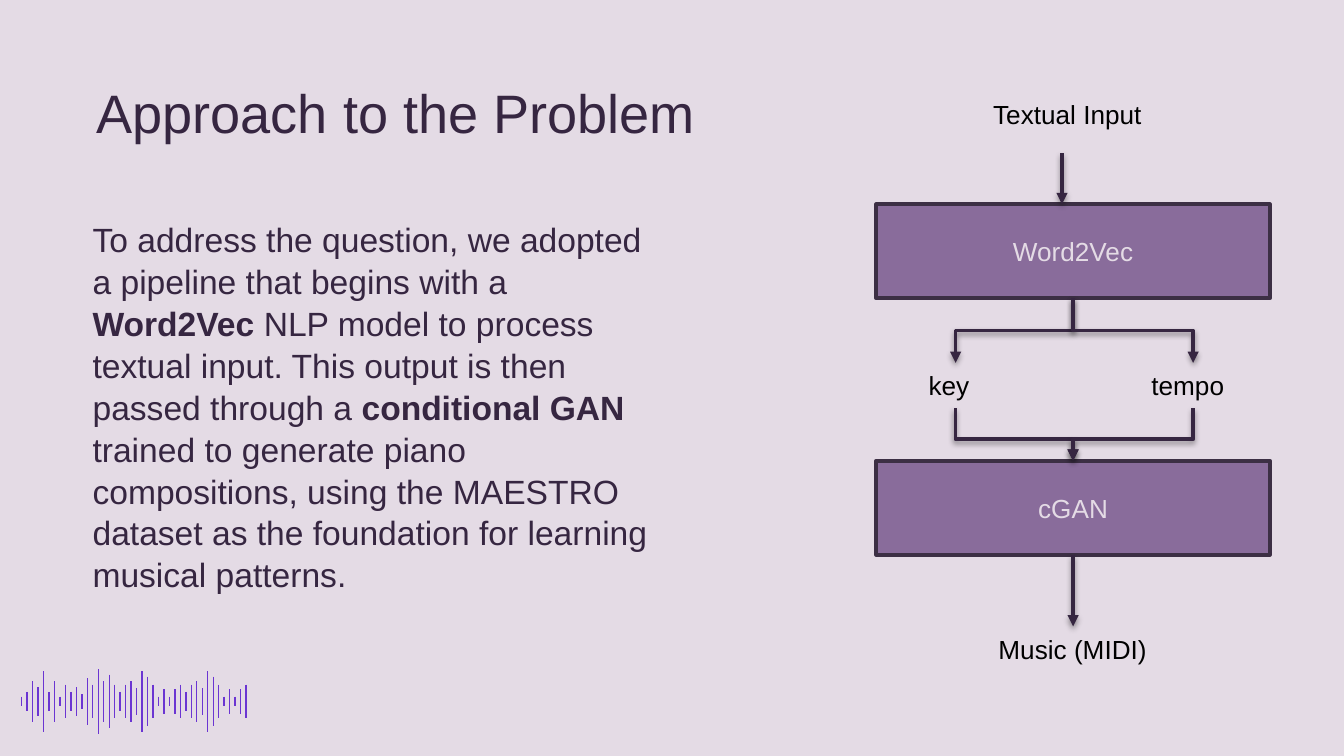
from dataclasses import dataclass

from lxml.etree import SubElement
from pptx import Presentation
from pptx.dml.color import RGBColor
from pptx.enum.shapes import MSO_CONNECTOR, MSO_SHAPE
from pptx.enum.text import MSO_ANCHOR, MSO_AUTO_SIZE, PP_ALIGN
from pptx.oxml.ns import qn
from pptx.util import Cm, Pt

LAVENDER = RGBColor(0xE4, 0xDB, 0xE5)
PLUM = RGBColor(0x36, 0x26, 0x41)
PURPLE = RGBColor(0x89, 0x6C, 0x9B)
DARK_PLUM = RGBColor(0x3C, 0x2F, 0x44)
VIOLET = RGBColor(0x6B, 0x35, 0xD2)
BLACK = RGBColor(0, 0, 0)

AXIS = 20.28
INSET = 0.25
WAVE_START, WAVE_END, WAVE_MIDDLE = 0.41, 4.65, 13.26
WAVE_INTRO = [0.18, 0.36, 0.76, 0.54, 1.14, 0.36, 0.76, 0.18, 0.64,
              0.36, 0.54, 0.28, 0.88, 0.64, 1.22, 0.76, 1.02, 0.64]
WAVE_REPEAT = [0.36, 0.64, 0.76, 0.5, 1.14, 0.94,
               0.64, 0.18, 0.46, 0.18, 0.46, 0.64]


@dataclass(frozen=True)
class Stage:
    name: str
    top: float
    left: float = 16.56
    width: float = 7.44
    height: float = 1.78

    @property
    def bottom(self) -> float:
        return self.top + self.height


@dataclass(frozen=True)
class Label:
    text: str
    left: float
    top: float
    width: float
    height: float


@dataclass(frozen=True)
class Elbow:
    x1: float
    y1: float
    x2: float
    y2: float
    bend: float = 0.5


def write(paragraph, text: str, *, size: float = 14, color: RGBColor = BLACK,
          bold: bool = False, align: PP_ALIGN = PP_ALIGN.LEFT) -> None:
    paragraph.alignment = align
    run = paragraph.add_run()
    run.text = text
    run.font.name = "Arial"
    run.font.size = Pt(size)
    run.font.bold = bold
    run.font.color.rgb = color


def place(shape, left: float, top: float, width: float, height: float) -> None:
    shape.left, shape.top = Cm(left), Cm(top)
    shape.width, shape.height = Cm(width), Cm(height)


def prepare(frame, anchor: MSO_ANCHOR, left_inset: float = INSET) -> None:
    frame.word_wrap = True
    frame.auto_size = MSO_AUTO_SIZE.NONE
    frame.vertical_anchor = anchor
    frame.margin_left = Cm(left_inset)
    frame.margin_right = frame.margin_top = frame.margin_bottom = Cm(INSET)


def draw_wave(slide) -> None:
    heights = WAVE_INTRO + WAVE_REPEAT * 2
    pitch = (WAVE_END - WAVE_START) / (len(heights) - 1)
    wave = slide.shapes.add_group_shape()
    for index, height in enumerate(heights):
        x = Cm(WAVE_START + index * pitch)
        bar = wave.shapes.add_connector(
            MSO_CONNECTOR.STRAIGHT, x, Cm(WAVE_MIDDLE - height / 2),
            x, Cm(WAVE_MIDDLE + height / 2))
        bar.line.color.rgb = VIOLET
        bar.line.width = Pt(0.75)
        SubElement(bar._element.spPr, qn("a:effectLst"))


def draw_stage(slide, stage: Stage):
    box = slide.shapes.add_shape(
        MSO_SHAPE.RECTANGLE, Cm(stage.left), Cm(stage.top),
        Cm(stage.width), Cm(stage.height))
    box.shadow.inherit = False
    box.fill.solid()
    box.fill.fore_color.rgb = PURPLE
    box.line.color.rgb = DARK_PLUM
    box.line.width = Pt(2)
    box.text_frame.vertical_anchor = MSO_ANCHOR.MIDDLE
    write(box.text_frame.paragraphs[0], stage.name,
          color=LAVENDER, align=PP_ALIGN.CENTER)
    return box


def draw_label(slide, label: Label) -> None:
    box = slide.shapes.add_textbox(Cm(label.left), Cm(label.top),
                                   Cm(label.width), Cm(label.height))
    box.text_frame.word_wrap = True
    write(box.text_frame.paragraphs[0], label.text)


def style_arrow(arrow) -> None:
    arrow.line.color.rgb = PLUM
    arrow.line.width = Pt(2)
    properties = arrow._element.spPr
    SubElement(properties.find(qn("a:ln")), qn("a:tailEnd"), type="triangle")
    effects = SubElement(properties, qn("a:effectLst"))
    shadow = SubElement(effects, qn("a:outerShdw"), blurRad="39400",
                        dist="20300", dir="5400000", rotWithShape="0")
    tint = SubElement(shadow, qn("a:srgbClr"), val="000000")
    SubElement(tint, qn("a:alpha"), val="38000")


def draw_arrow(slide, x: float, y1: float, y2: float):
    arrow = slide.shapes.add_connector(
        MSO_CONNECTOR.STRAIGHT, Cm(x), Cm(y1), Cm(x), Cm(y2))
    style_arrow(arrow)
    return arrow


def draw_elbow(slide, elbow: Elbow) -> None:
    run, drop = abs(elbow.x2 - elbow.x1), elbow.y2 - elbow.y1
    left = (elbow.x1 + elbow.x2 - drop) / 2
    top = (elbow.y1 + elbow.y2 - run) / 2
    arrow = slide.shapes.add_connector(
        MSO_CONNECTOR.ELBOW, Cm(left), Cm(top), Cm(left + drop), Cm(top + run))
    frame = arrow._element.spPr.find(qn("a:xfrm"))
    if elbow.x2 > elbow.x1:
        frame.set("rot", "16200000")
        frame.set("flipH", "1")
    else:
        frame.set("rot", "5400000")
    guides = arrow._element.spPr.find(qn("a:prstGeom")).find(qn("a:avLst"))
    SubElement(guides, qn("a:gd"), name="adj1",
               fmla=f"val {round(elbow.bend * 100000)}")
    style_arrow(arrow)


def main() -> None:
    deck = Presentation()
    deck.slide_width, deck.slide_height = Cm(25.4), Cm(14.29)
    slide = deck.slides.add_slide(deck.slide_layouts[0])
    slide.background.fill.solid()
    slide.background.fill.fore_color.rgb = LAVENDER
    draw_wave(slide)

    title, body = slide.placeholders
    place(title, 1.57, 1.14, 23.52, 1.83)
    prepare(title.text_frame, MSO_ANCHOR.BOTTOM)
    write(title.text_frame.paragraphs[0], "Approach to the Problem",
          size=29, color=PLUM)

    place(body, 0.23, 3.86, 12.47, 8.79)
    prepare(body.text_frame, MSO_ANCHOR.TOP, left_inset=1.52)
    summary = body.text_frame.paragraphs[0]
    summary.space_before = Pt(0)
    summary.line_spacing = 1.04
    for text, bold in [
        ("To address the question, we adopted a pipeline that begins with a ", False),
        ("Word2Vec", True),
        (" NLP model to process textual input. This output is then passed "
         "through a ", False),
        ("conditional GAN ", True),
        ("trained to generate piano compositions, using the MAESTRO dataset "
         "as the foundation for learning musical patterns.", False),
    ]:
        write(summary, text, size=18, color=PLUM, bold=bold)

    encoder, generator = Stage("Word2Vec", 3.86), Stage("cGAN", 8.71)
    draw_stage(slide, encoder)
    generator_box = draw_stage(slide, generator)

    for label in [
        Label("Textual Input", 18.52, 1.73, 4.09, 1.02),
        Label("key", 17.3, 6.86, 1.52, 0.86),
        Label("tempo", 21.51, 6.86, 2.08, 0.86),
        Label("Music (MIDI)", 18.62, 11.84, 4.09, 1.02),
    ]:
        draw_label(slide, label)

    draw_arrow(slide, 20.07, 2.9, encoder.top)
    for branch in (18.06, 22.55):
        draw_elbow(slide, Elbow(AXIS, encoder.bottom, branch, 6.86))
        draw_elbow(slide, Elbow(branch, 7.72, AXIS, generator.top, 0.59))
    output = draw_arrow(slide, AXIS, generator.bottom, 11.84)
    output.begin_connect(generator_box, 2)

    deck.save("out.pptx")


if __name__ == "__main__":
    main()
